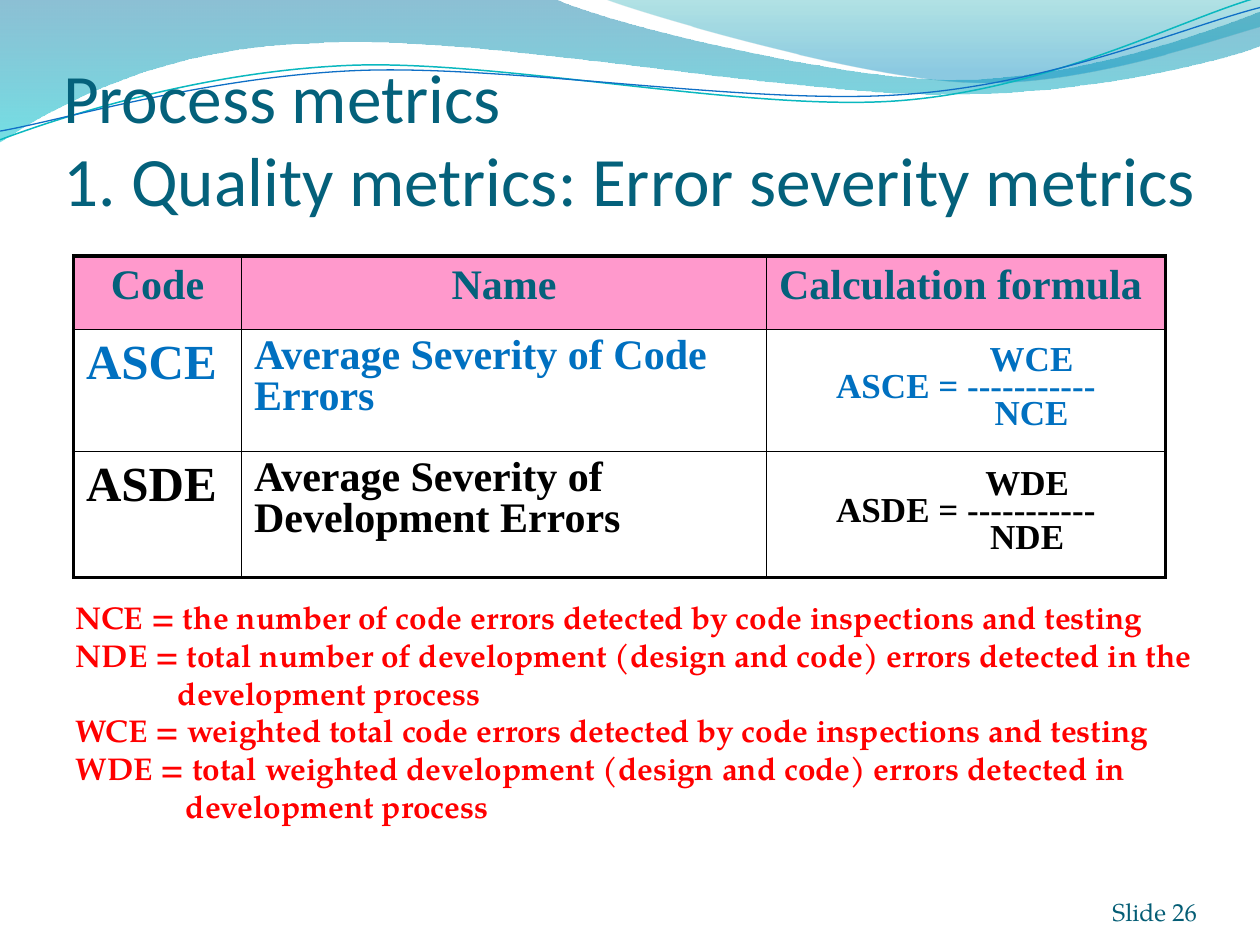
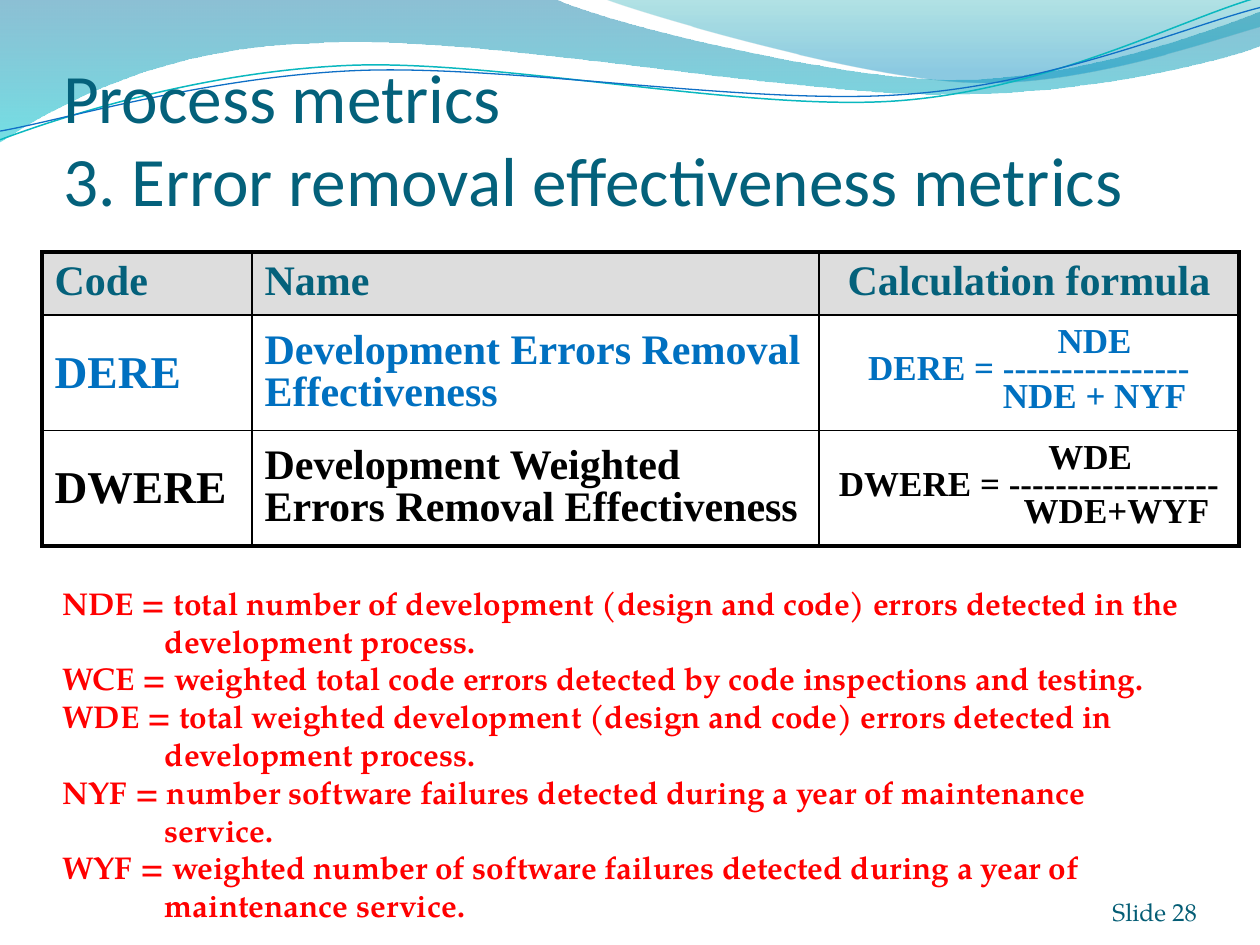
"""Build two slides on process metrics, each with a formula table and definitions."""
from lxml.etree import SubElement
from pptx import Presentation
from pptx.dml.color import RGBColor
from pptx.enum.text import MSO_ANCHOR, MSO_AUTO_SIZE, PP_ALIGN
from pptx.oxml.ns import qn
from pptx.util import Pt

TITLE_TEAL = RGBColor(0x04, 0x61, 0x7B)
NUMBER_TEAL = RGBColor(0x04, 0x5D, 0x75)
ROW_BLUE = RGBColor(0x00, 0x70, 0xC0)
BLACK = RGBColor(0x00, 0x00, 0x00)
RED = RGBColor(0xFF, 0x00, 0x00)
PINK = RGBColor(0xFF, 0x99, 0xCC)
GREY = RGBColor(0xDD, 0xDD, 0xDD)
BAND_BLUE = RGBColor(0x00, 0x74, 0xA1)
BAND_CYAN = RGBColor(0x00, 0xC6, 0xCF)
CREST_TEAL = RGBColor(0x00, 0xA1, 0xA9)
CREST_BLUE = RGBColor(0x00, 0x8B, 0xBF)
LINE_TEAL = RGBColor(0x0A, 0xB8, 0xBF)
LINE_BLUE = RGBColor(0x0F, 0x6F, 0xC6)

TITLE_FONT, TABLE_FONT, TEXT_FONT = "Calibri", "Times New Roman", "TeX Gyre Pagella"
LEFT, CENTER, RIGHT = PP_ALIGN.LEFT, PP_ALIGN.CENTER, PP_ALIGN.RIGHT
TOP, MIDDLE, BOTTOM = MSO_ANCHOR.TOP, MSO_ANCHOR.MIDDLE, MSO_ANCHOR.BOTTOM

BAND = [(0, 0), (316.8, -0.7),
        (342.7, 12.2, 478.1, 45.4, 545.8, 45.4), (614.2, 45.4, 689.8, 18.7, 720, 6.5),
        (720.7, 25.9), (707.8, 31.7, 626.4, 54.7, 537.1, 54),
        (446.4, 54, 275, 20.2, 185, 24.5), (92.9, 25.9, 33.1, 59.8, -0.7, 81.4)]
CREST = [(344.9, -0.7), (366.5, 7.9, 491, 44.6, 553.7, 46.8),
         (616.3, 49.7, 691.9, 23, 720, 15.1), (720, 0)]
TEAL_CURVE = [(0, 79.9), (34.6, 67, 113.8, 41, 199.4, 37.4),
              (284.4, 33.8, 427, 64.1, 513.4, 57.6), (599.8, 51.1, 675.4, 10.8, 718.6, -1.4)]
BLUE_CURVE = [(0, 74.9), (33.8, 69.1, 118.1, 43.9, 203.8, 40.3),
              (290.2, 36.7, 429.8, 60.5, 516.2, 54), (601.9, 48.2, 677.5, 15.1, 720, 4.3)]


class MetricsDeck:
    """Holds the shared style and the current slide."""

    def __init__(self):
        """Start a 10 by 7.5 inch presentation."""
        self.deck = Presentation()
        self.deck.slide_width, self.deck.slide_height = Pt(720), Pt(540)
        self.layout = self.deck.slide_layouts[1]
        self.slide = None

    def new_slide(self, heading, number):
        """Add a slide with its title and number, and the waves on first use."""
        self.slide = self.deck.slides.add_slide(self.layout)
        if len(self.deck.slides) == 1:
            self.waves()
        title = self.slide.shapes.title
        self.place(title, 36, 36, 660, 90)
        self.frame(title.text_frame, BOTTOM, (0, 3.6, 0, 0))
        title.text_frame.text = f"Process metrics \v{heading}"
        self.style(title.text_frame.paragraphs[0], TITLE_FONT, 39.6, TITLE_TEAL, False)
        page = self.slide.shapes.add_textbox(Pt(624), Pt(500.4), Pt(60), Pt(28.8)).text_frame
        self.frame(page, BOTTOM, (0, 0, 0, 0))
        page.text = f"Slide {number}"
        self.style(page.paragraphs[0], TEXT_FONT, 14, NUMBER_TEAL, False, RIGHT)

    def place(self, shape, left, top, width, height):
        """Move and size a shape, in points."""
        shape.left, shape.top, shape.width, shape.height = map(Pt, (left, top, width, height))

    def frame(self, text_frame, anchor, insets):
        """Set wrapping, anchor and insets of a text frame."""
        text_frame.word_wrap = True
        text_frame.auto_size = MSO_AUTO_SIZE.NONE
        text_frame.vertical_anchor = anchor
        (text_frame.margin_left, text_frame.margin_top,
         text_frame.margin_right, text_frame.margin_bottom) = map(Pt, insets)

    def style(self, paragraph, font, size, color, bold=True, align=LEFT, spacing=1.0):
        """Format a paragraph, its runs and its line breaks."""
        paragraph.alignment = align
        paragraph.line_spacing = spacing
        paragraph.space_before = Pt(0)
        for run in paragraph.runs:
            run.font.name, run.font.size, run.font.bold = font, Pt(size), bold
            run.font.color.rgb = color
        for line_break in paragraph._p.iter(qn("a:br")):
            properties = SubElement(line_break, qn("a:rPr"), sz=str(round(size * 100)))
            SubElement(properties, qn("a:latin"), typeface=font)

    def waves(self):
        """Draw the header waves on the layout."""
        self.band(BAND, (BAND_BLUE, 45, 0), (BAND_CYAN, 55, 1))
        self.band(CREST, (CREST_TEAL, 30, 0), (CREST_BLUE, 45, 0.8))
        self.curve(TEAL_CURVE, LINE_TEAL, 0.85)
        self.curve(BLUE_CURVE, LINE_BLUE, 0.75)

    def outline(self, parts, close):
        """Build an outline of lines and Bézier curves and move it to the layout."""
        start, *points = [(Pt(part[i]), Pt(part[i + 1]))
                          for part in parts for i in range(0, len(part), 2)]
        builder = self.slide.shapes.build_freeform(*start)
        builder.add_line_segments(points, close=close)
        wave = builder.convert_to_shape()
        wave.shadow.inherit = False
        segments = iter(list(wave.element.iter(qn("a:lnTo"))))
        for part in parts[1:]:
            group = [next(segments) for _ in range(len(part) // 2)]
            if len(group) == 3:
                bezier = SubElement(group[0].getparent(), qn("a:cubicBezTo"))
                group[0].addprevious(bezier)
                for segment in group:
                    bezier.append(segment[0])
                    segment.getparent().remove(segment)
        wave.element.nvSpPr.cNvPr.id = 20 + len(self.layout.shapes)
        self.layout.shapes.element.append(wave.element)
        return wave

    def band(self, parts, *stops):
        """Draw a filled wave with a translucent vertical gradient."""
        wave = self.outline(parts, True)
        wave.line.fill.background()
        wave.fill.gradient()
        wave.fill.gradient_angle = 270
        for stop, (color, _, position) in zip(wave.fill.gradient_stops, stops):
            stop.color.rgb = color
            stop.position = position
        for tint, (_, opacity, _) in zip(wave.element.spPr.iter(qn("a:srgbClr")), stops):
            SubElement(tint, qn("a:alpha"), val=str(opacity * 1000))

    def curve(self, parts, color, width):
        """Draw a thin open wave."""
        wave = self.outline(parts, False)
        wave.fill.background()
        wave.line.color.rgb = color
        wave.line.width = Pt(width)

    def borders(self, cell, **widths):
        """Give a cell black borders of the given widths."""
        properties = cell._tc.get_or_add_tcPr()
        for side, width in widths.items():
            edge = SubElement(properties, qn(f"a:ln{side}"), w=str(Pt(width)))
            SubElement(SubElement(edge, qn("a:solidFill")), qn("a:srgbClr"), val=str(BLACK))

    def metrics_table(self, left, top, widths, heights, header_fill, header_aligns,
                      code_size, anchor, metrics):
        """Add the table of codes, names and formulas."""
        table = self.slide.shapes.add_table(
            len(heights), len(widths), Pt(left), Pt(top), Pt(sum(widths)), Pt(sum(heights))).table
        table.first_row = table.horz_banding = False
        for column, width in zip(table.columns, widths):
            column.width = Pt(width)
        for row, height in zip(table.rows, heights):
            row.height = Pt(height)
        last_row, last_column = len(heights) - 1, len(widths) - 1
        for r, row in enumerate(table.rows):
            for c, cell in enumerate(row.cells):
                self.borders(cell, L=1 if c else 2.25, R=2.25 if c == last_column else 1,
                             T=1 if r else 2.25, B=2.25 if r == last_row else 1)
                if r:
                    cell.fill.background()
                else:
                    cell.fill.solid()
                    cell.fill.fore_color.rgb = header_fill
        headers = ("Code", "Name", "Calculation formula")
        for cell, header, align in zip(table.rows[0].cells, headers, header_aligns):
            cell.text_frame.text = header
            self.style(cell.text_frame.paragraphs[0], TABLE_FONT, 24, TITLE_TEAL, align=align)
        for r, (metric, color) in enumerate(zip(metrics, (ROW_BLUE, BLACK)), 1):
            code, name, *fraction = metric
            code_cell, name_cell, formula_cell = table.rows[r].cells
            for cell, text, size, spacing in ((code_cell, code, code_size, 1.0),
                                              (name_cell, name, 24, 0.9)):
                cell.vertical_anchor = anchor
                cell.text_frame.text = text
                self.style(cell.text_frame.paragraphs[0], TABLE_FONT, size, color, spacing=spacing)
            self.formula(formula_cell, code, color, *fraction)

    def formula(self, cell, code, color, over, under, dashes, over_shift, under_shift):
        """Write a fraction in three centred lines, shifting its two terms right."""
        cell.vertical_anchor = MIDDLE
        cell.text_frame.text = f"{over}\n{code} = {'-' * dashes}\n{under}"
        for paragraph, shift in zip(cell.text_frame.paragraphs, (over_shift, 0, under_shift)):
            paragraph._p.get_or_add_pPr().set("marL", str(Pt(shift)))
            self.style(paragraph, TABLE_FONT, 20, color, align=CENTER, spacing=0.7)

    def definitions(self, left, top, width, height, entries):
        """Fill the body placeholder with definitions that have hanging indents."""
        body = self.slide.placeholders[1]
        self.place(body, left, top, width, height)
        self.frame(body.text_frame, TOP, (7.2, 3.6, 7.2, 3.6))
        body.text_frame.text = "\n".join(text for text, _ in entries)
        for paragraph, (_, hang) in zip(body.text_frame.paragraphs, entries):
            properties = paragraph._p.get_or_add_pPr()
            properties.set("marL", str(Pt(hang)))
            properties.set("indent", str(-Pt(hang)))
            SubElement(properties, qn("a:buNone"))
            self.style(paragraph, TEXT_FONT, 18, RED)


def main():
    """Build both slides and save them."""
    show = MetricsDeck()
    nde = "NDE = total number of development (design and code) errors detected in the development process"
    wce = "WCE = weighted total code errors detected by code inspections and testing"
    wde = "WDE = total weighted development (design and code) errors detected in \vdevelopment process"

    show.new_slide("1. Quality metrics: Error severity metrics", 26)
    show.metrics_table(
        42, 146.25, (96, 300, 228), (42, 69.75, 72), PINK, (CENTER, CENTER, LEFT), 28, TOP,
        [("ASCE", "Average Severity of Code Errors", "WCE", "NCE", 11, 75, 75),
         ("ASDE", "Average Severity of Development Errors", "WDE", "NDE", 11, 70, 70)])
    show.definitions(36, 338.1, 666, 138, [
        ("NCE = the number of code errors detected by code inspections and testing", 0),
        (nde, 58.5), (wce, 0), (wde, 63)])

    show.new_slide("3. Error removal effectiveness metrics", 28)
    show.metrics_table(
        24, 144, (120, 324, 240), (36, 66, 66), GREY, (LEFT, LEFT, CENTER), 26, MIDDLE,
        [("DERE", "Development Errors Removal Effectiveness", "NDE", "NDE + NYF", 16, 75, 75),
         ("DWERE", "Development Weighted Errors Removal Effectiveness",
          "WDE", "WDE+WYF", 18, 70, 100)])
    maintenance = (
        "NYF = number software failures detected during a year of maintenance service",
        "WYF = weighted number of software failures detected during a year of maintenance service")
    show.definitions(28.5, 330, 665, 204,
                     [(f"{text}.", 58.5) for text in (nde, wce, wde, *maintenance)])

    show.deck.save("out.pptx")


if __name__ == "__main__":
    main()
